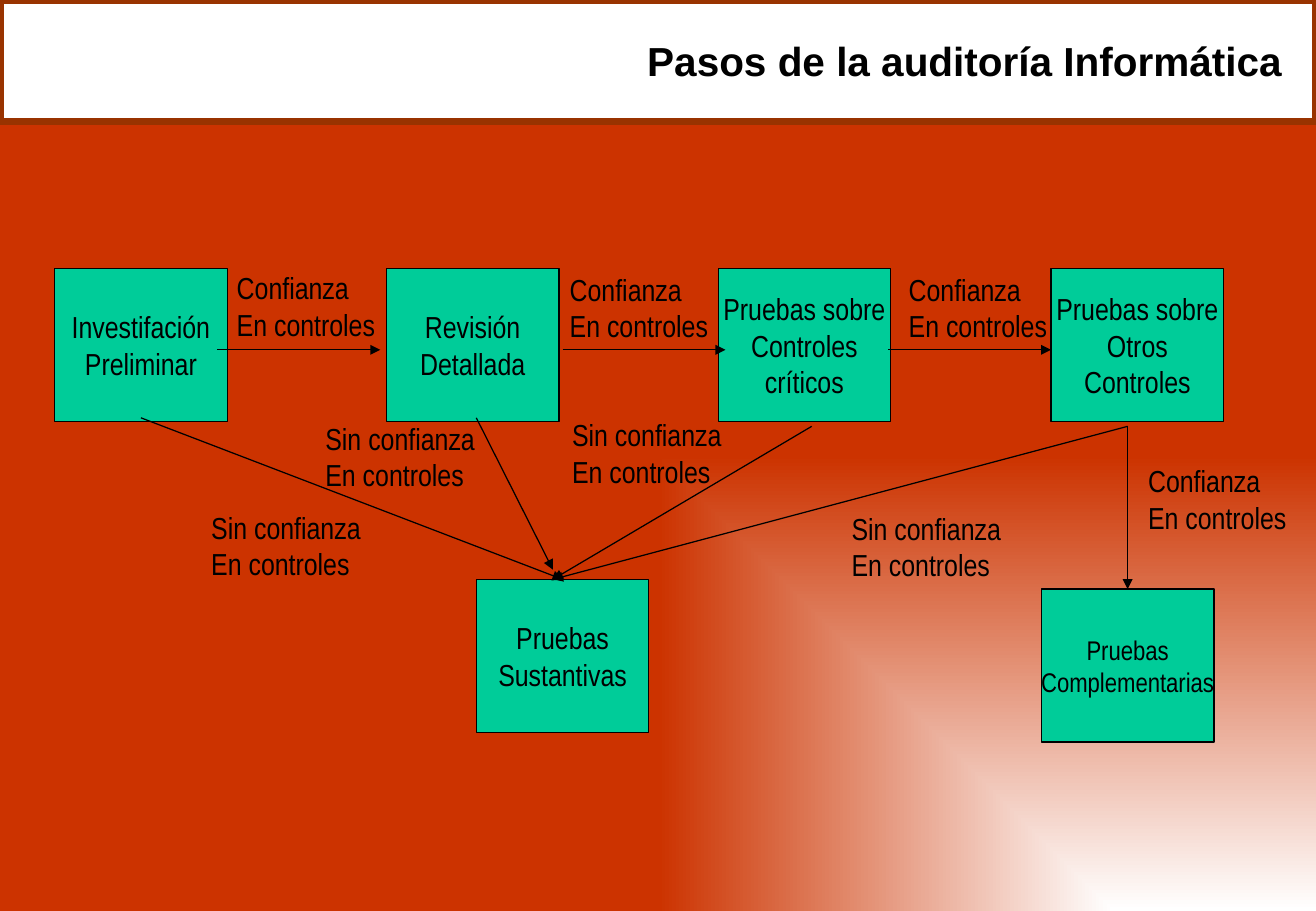
from pptx import Presentation
from pptx.dml.color import RGBColor
from pptx.enum.shapes import MSO_CONNECTOR as CONN, MSO_SHAPE as SHAPE
from pptx.enum.text import MSO_ANCHOR as ANCHOR, MSO_AUTO_SIZE as AUTO, PP_ALIGN as ALIGN
from pptx.oxml.ns import qn
from pptx.util import Inches, Pt
from lxml import etree

BLACK = RGBColor(0, 0, 0)
WHITE = RGBColor(0xFF, 0xFF, 0xFF)
RED = RGBColor(0xCC, 0x33, 0x00)
BROWN = RGBColor(0x99, 0x33, 0x00)
GREEN = RGBColor(0x00, 0xCC, 0x99)


def add_rect(x, y, w, h, fill, line, width):
    sp = slide.shapes.add_shape(SHAPE.RECTANGLE, Inches(x), Inches(y), Inches(w), Inches(h))
    sp.shadow.inherit = False
    sp.fill.solid()
    sp.fill.fore_color.rgb = fill
    sp.line.color.rgb = line
    sp.line.width = Pt(width)
    return sp


def write(tf, lines, align, name="Arial Narrow", size=18, bold=False):
    font = {"name": name, "size": Pt(size), "bold": bold}
    for i, line in enumerate(lines):
        p = tf.add_paragraph() if i else tf.paragraphs[0]
        p.alignment = align
        r = p.add_run()
        r.text = line
        for key, value in font.items():
            setattr(r.font, key, value)
        r.font.color.rgb = BLACK


prs = Presentation()
prs.slide_width, prs.slide_height = Inches(10.83), Inches(7.5)
slide = prs.slides.add_slide(prs.slide_layouts[5])

# Background: gradient spreading from the bottom right corner
fill = slide.background.fill
fill.gradient()
for stop, color, position in zip(fill.gradient_stops, (WHITE, RED), (0, 1)):
    stop.color.rgb = color
    stop.position = position
grad = slide.element.find(".//" + qn("a:gradFill"))
grad.remove(grad.find(qn("a:lin")))
shade = etree.Element(qn("a:path"), {"path": "rect"})
etree.SubElement(shade, qn("a:fillToRect"), {"l": "100000", "t": "100000"})
grad.find(qn("a:gsLst")).addnext(shade)

# Title over its banner
title = slide.shapes.title
banner = add_rect(0, 0, 10.83, 1, WHITE, BROWN, 4.25)
title.element.addprevious(banner.element)
title.left, title.top, title.width, title.height = map(Inches, (3.41, 0.21, 7.24, 0.58))
title.text_frame.vertical_anchor = ANCHOR.MIDDLE
write(title.text_frame, ["Pasos de la auditoría Informática"], ALIGN.RIGHT, "Arial", 24, True)

# Steps: a row of four, then the two kinds of final tests
steps = [
    (0.45, 2.21, 18, ["Investifación", "Preliminar"]),
    (3.18, 2.21, 18, ["Revisión", "Detallada"]),
    (5.91, 2.21, 18, ["Pruebas sobre", "Controles", "críticos"]),
    (8.65, 2.21, 18, ["Pruebas sobre", "Otros", "Controles"]),
    (3.92, 4.77, 18, ["Pruebas", "Sustantivas"]),
    (8.57, 4.85, 16, ["Pruebas", "Complementarias"]),
]
for x, y, size, lines in steps:
    tf = add_rect(x, y, 1.42, 1.26, GREEN, BLACK, 0.75).text_frame
    tf.word_wrap = False
    tf.vertical_anchor = ANCHOR.MIDDLE
    write(tf, lines, ALIGN.CENTER, size=size)

# Arrows between steps
arrows = [
    (1.79, 2.88, 3.13, 2.88),
    (4.63, 2.88, 5.97, 2.88),
    (7.31, 2.88, 8.65, 2.88),
    (9.28, 3.51, 9.28, 4.85),
    (1.16, 3.44, 4.63, 4.77),
    (3.92, 3.44, 4.55, 4.69),
    (6.68, 3.51, 4.55, 4.77),
    (9.28, 3.51, 4.55, 4.77),
]
for ends in arrows:
    arrow = slide.shapes.add_connector(CONN.STRAIGHT, *map(Inches, ends))
    arrow.line.color.rgb = BLACK
    arrow.line.width = Pt(0.75)
    etree.SubElement(arrow.line._get_or_add_ln(), qn("a:tailEnd"), {"type": "triangle"})
    etree.SubElement(arrow.element.spPr, qn("a:effectLst"))

# Arrow labels
labels = {
    ("Confianza", 1.34): [(1.85, 2.17), (4.59, 2.18), (7.38, 2.18), (9.35, 3.76)],
    ("Sin confianza", 1.44): [(1.64, 4.14), (2.58, 3.41), (4.61, 3.38), (6.91, 4.15)],
}
for (outcome, width), places in labels.items():
    for x, y in places:
        box = slide.shapes.add_textbox(Inches(x), Inches(y), Inches(width), Inches(0.7))
        tf = box.text_frame
        tf.word_wrap = False
        tf.auto_size = AUTO.SHAPE_TO_FIT_TEXT
        write(tf, [outcome, "En controles"], ALIGN.LEFT)

prs.save("out.pptx")
